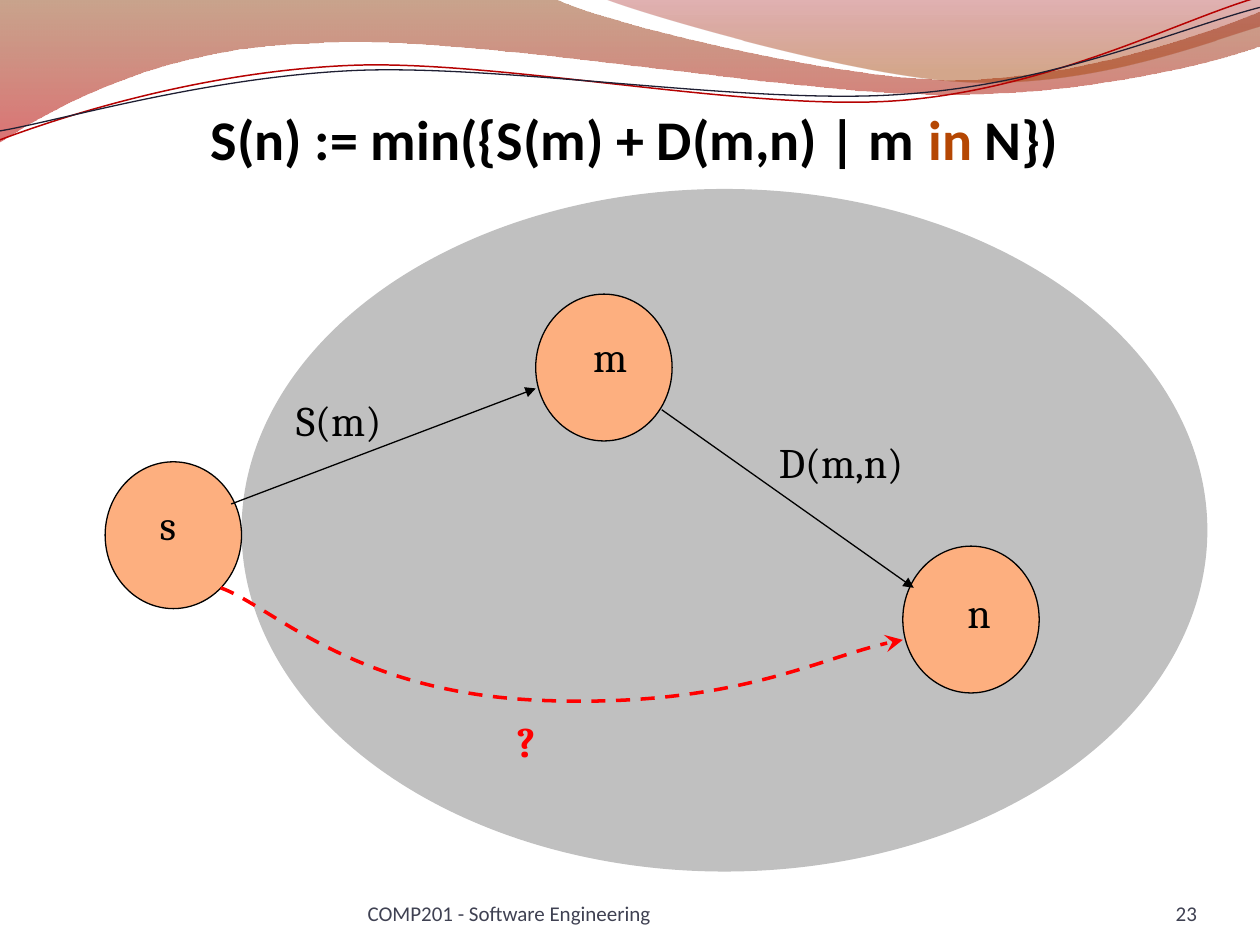
from dataclasses import dataclass

from lxml import etree
from pptx import Presentation
from pptx.dml.color import RGBColor
from pptx.enum.dml import MSO_LINE
from pptx.enum.shapes import MSO_CONNECTOR, MSO_SHAPE
from pptx.enum.text import MSO_ANCHOR, PP_ALIGN
from pptx.oxml.ns import qn
from pptx.util import Cm, Pt

STRAIGHT = MSO_CONNECTOR.STRAIGHT
OVAL = MSO_SHAPE.OVAL
DASH = MSO_LINE.DASH
TOP, BOTTOM = MSO_ANCHOR.TOP, MSO_ANCHOR.BOTTOM
LEFT, CENTER, RIGHT = PP_ALIGN.LEFT, PP_ALIGN.CENTER, PP_ALIGN.RIGHT
TITLE_ONLY = 5


@dataclass(frozen=True)
class Theme:
    heading_font: str = "Calibri"
    body_font: str = "Cambria"
    title_size: float = 32
    label_size: float = 24
    footer_size: float = 12
    ink: str = "000000"
    accent: str = "B54703"
    query: str = "FF0000"
    node: str = "FDAF7F"
    region: str = "C0C0C0"
    footer: str = "3F4152"
    red_wave: str = "B60202"
    dark_wave: str = "1F1F33"
    # Gradient stops: position, colour, opacity in percent
    wide_band: tuple = ((0, "883400", 45), (1, "BD0000", 55))
    right_band: tuple = ((0, "9A0000", 30), (0.8, "A23E00", 45))


THEME = Theme()
NODE_W, NODE_H = 2.75, 2.96

# Each outline is a start point, then segments: one point is a straight
# line, three points are a cubic curve. Centimetres.
WIDE_BAND = [
    (0, 0), [(11.18, -0.03)],
    [(12.09, 0.43), (16.87, 1.6), (19.25, 1.6)],
    [(21.67, 1.6), (24.33, 0.66), (25.4, 0.23)],
    [(25.43, 0.91)],
    [(24.97, 1.12), (22.1, 1.93), (18.95, 1.9)],
    [(15.8, 1.9), (9.7, 0.71), (6.53, 0.86)],
    [(3.28, 0.91), (1.17, 2.11), (-0.03, 2.87)],
]
RIGHT_BAND = [
    (12.17, -0.03),
    [(12.93, 0.28), (17.32, 1.57), (19.53, 1.65)],
    [(22.1, 1.75), (24.41, 0.81), (25.4, 0.53)],
    [(25.4, 0)],
]
RED_WAVE = [
    (0, 2.82),
    [(1.22, 2.36), (4.01, 1.45), (7.04, 1.32)],
    [(10.03, 1.19), (15.06, 2.26), (18.11, 2.03)],
    [(21.16, 1.8), (23.83, 0.38), (25.35, -0.05)],
]
DARK_WAVE = [
    (0, 2.64),
    [(1.19, 2.44), (4.17, 1.55), (7.19, 1.42)],
    [(10.24, 1.3), (15.16, 2.13), (18.21, 1.9)],
    [(21.23, 1.7), (23.9, 0.53), (25.4, 0.15)],
]
QUERY_PATH = [
    (4.45, 11.85),
    [(5.51, 12.24), (7.11, 13.97), (10.92, 14.12)],
    [(14.73, 14.27), (16.69, 13.16), (18.2, 12.9)],
]


def rgb(color):
    return RGBColor.from_string(color)


def add_outline(slide, outline, close):
    """Draw a freeform, then merge each three-point segment into a cubic curve."""
    start, *segments = outline
    builder = slide.shapes.build_freeform(*map(Cm, start))
    builder.add_line_segments(
        [(Cm(x), Cm(y)) for segment in segments for x, y in segment], close=close)
    sp = builder.convert_to_shape()
    sp.shadow.inherit = False
    steps = iter(list(sp.element.spPr.iter(qn("a:lnTo"))))
    for segment in segments:
        first, *others = [next(steps) for _ in segment]
        if others:
            curve = etree.Element(qn("a:cubicBezTo"))
            first.addprevious(curve)
            for step in (first, *others):
                curve.append(step[0])
                step.getparent().remove(step)
    return sp


def add_band(slide, outline, stops):
    sp = add_outline(slide, outline, True)
    sp.line.fill.background()
    sp.fill.gradient()
    sp.fill.gradient_angle = 270
    for stop, (position, color, _) in zip(sp.fill.gradient_stops, stops):
        stop.position = position
        stop.color.rgb = rgb(color)
    colors = sp.element.spPr.iter(qn("a:srgbClr"))
    for element, (_, _, opacity) in zip(colors, stops):
        etree.SubElement(element, qn("a:alpha"), val=str(opacity * 1000))


def style_line(line, color, width):
    line.color.rgb = rgb(color)
    line.width = Pt(width)


def add_arrowhead(shape, kind, size="med"):
    ln = shape.element.spPr.find(qn("a:ln"))
    etree.SubElement(ln, qn("a:tailEnd"), type=kind, w=size, len=size)


def add_curve(slide, outline, color, width):
    sp = add_outline(slide, outline, False)
    sp.fill.background()
    style_line(sp.line, color, width)
    return sp


def add_arrow(slide, start, end):
    line = slide.shapes.add_connector(STRAIGHT, *map(Cm, (*start, *end)))
    style_line(line.line, THEME.ink, 0.75)
    add_arrowhead(line, "triangle")
    etree.SubElement(line.element.spPr, qn("a:effectLst"))


def add_ellipse(slide, x, y, w, h, color):
    sp = slide.shapes.add_shape(OVAL, *map(Cm, (x, y, w, h)))
    sp.shadow.inherit = False
    sp.fill.solid()
    sp.fill.fore_color.rgb = rgb(color)
    sp.line.fill.background()
    return sp


def add_node(slide, x, y):
    sp = add_ellipse(slide, x, y, NODE_W, NODE_H, THEME.node)
    style_line(sp.line, THEME.ink, 0.75)


def style_run(r, font, size, color, bold=False):
    r.font.name = font
    r.font.size = Pt(size)
    r.font.bold = bold
    r.font.color.rgb = rgb(color)


def add_text(slide, text, x, y, w, h):
    box = slide.shapes.add_textbox(*map(Cm, (x, y, w, h)))
    tf = box.text_frame
    tf.word_wrap = True
    tf.text = text
    return tf


def add_label(slide, text, x, y, w, color=THEME.ink, bold=False):
    tf = add_text(slide, text, x, y, w, 1.27)
    style_run(tf.paragraphs[0].runs[0], THEME.body_font, THEME.label_size, color, bold)


def add_footer(slide, text, x, w, align):
    tf = add_text(slide, text, x, 17.65, w, 1.02)
    tf.margin_left = tf.margin_right = tf.margin_top = tf.margin_bottom = 0
    tf.vertical_anchor = BOTTOM
    p = tf.paragraphs[0]
    p.alignment = align
    style_run(p.runs[0], THEME.heading_font, THEME.footer_size, THEME.footer)


def set_title(slide):
    title = slide.shapes.title
    title.left, title.top, title.width, title.height = map(Cm, (2, 1.98, 21.59, 2.41))
    tf = title.text_frame
    tf.vertical_anchor = TOP
    p = tf.paragraphs[0]
    p.alignment = CENTER
    for text, color in (("S(n) := min({S(m) + D(m,n) | m ", THEME.ink),
                        ("in", THEME.accent), (" N})", THEME.ink)):
        r = p.add_run()
        r.text = text
        style_run(r, THEME.heading_font, THEME.title_size, color, True)


def main():
    prs = Presentation()
    prs.slide_width, prs.slide_height = Cm(25.4), Cm(19.05)
    slide = prs.slides.add_slide(prs.slide_layouts[TITLE_ONLY])
    set_title(slide)
    add_band(slide, WIDE_BAND, THEME.wide_band)
    add_band(slide, RIGHT_BAND, THEME.right_band)
    add_curve(slide, RED_WAVE, THEME.red_wave, 0.85)
    add_curve(slide, DARK_WAVE, THEME.dark_wave, 0.75)

    add_ellipse(slide, 4.87, 3.81, 19.47, 13.76, THEME.region)
    for x, y in ((2.12, 9.31), (10.8, 5.93), (18.2, 11.01)):
        add_node(slide, x, y)
    add_arrow(slide, (4.66, 10.16), (10.8, 7.83))
    add_arrow(slide, (13.34, 8.26), (18.42, 11.85))
    query = add_curve(slide, QUERY_PATH, THEME.query, 2)
    query.line.dash_style = DASH
    add_arrowhead(query, "stealth", "lg")

    for text, x, y, w in (("s", 2.97, 9.93, 1.47), ("m", 11.71, 6.54, 1.47),
                          ("n", 19.25, 11.7, 1.02), ("S(m)", 5.72, 7.82, 2.54),
                          ("D(m,n)", 15.45, 8.68, 3.38)):
        add_label(slide, text, x, y, w)
    add_label(slide, "?", 10.16, 14.3, 1.47, THEME.query, True)
    add_footer(slide, "23", 22.02, 2.11, RIGHT)
    add_footer(slide, "COMP201 - Software Engineering", 7.41, 9.32, LEFT)
    prs.save("out.pptx")


if __name__ == "__main__":
    main()
